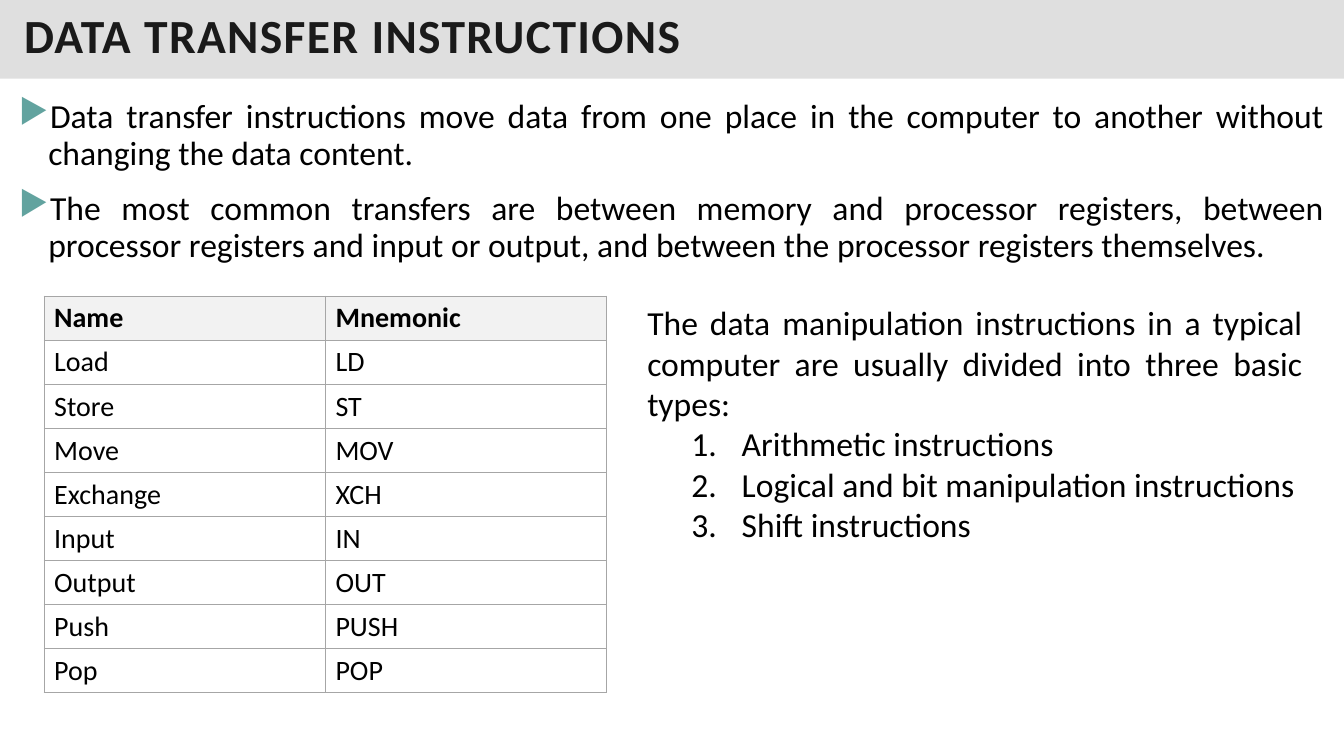
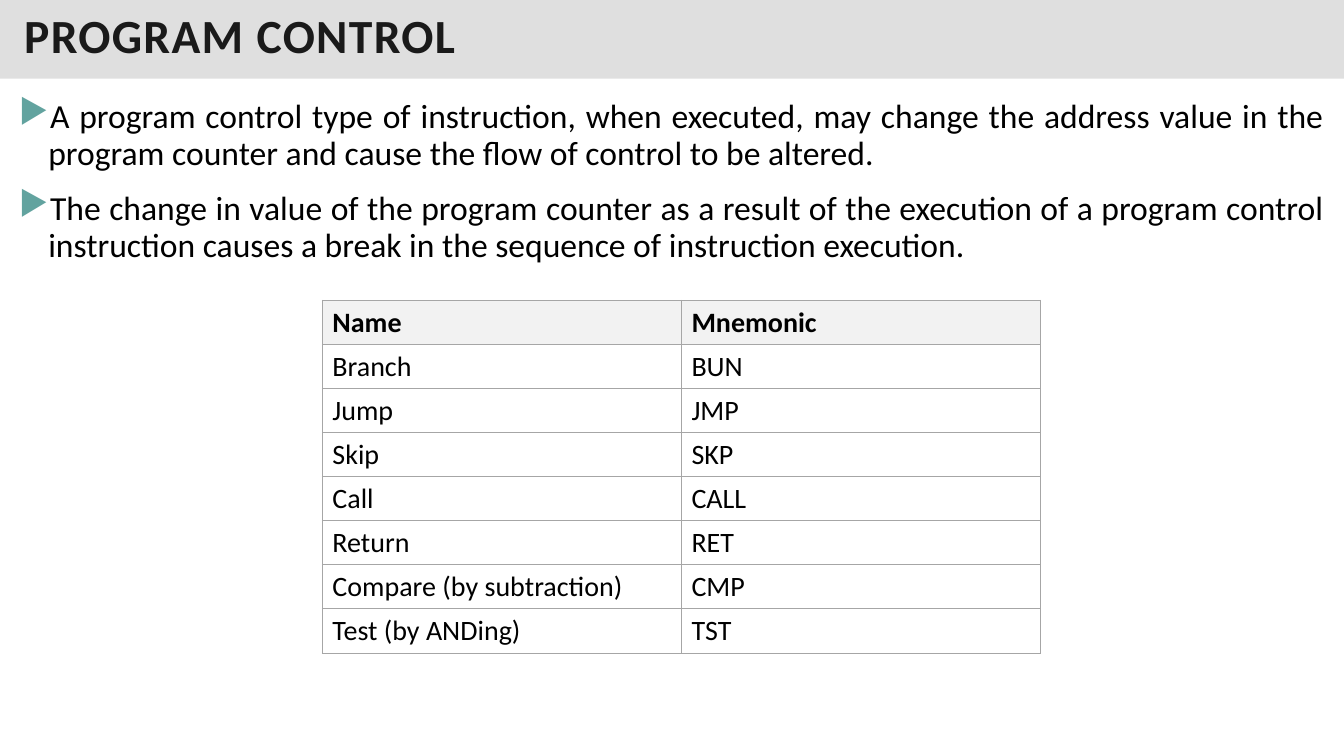
from dataclasses import dataclass

from lxml.etree import SubElement
from pptx import Presentation
from pptx.dml.color import RGBColor
from pptx.enum.shapes import MSO_SHAPE
from pptx.enum.text import MSO_ANCHOR, MSO_AUTO_SIZE, PP_ALIGN
from pptx.oxml.ns import qn
from pptx.util import Pt

EMU_PER_PX = 9525
PAGE_WIDTH, PAGE_HEIGHT = 1280, 720
BAND_HEIGHT = 75
BODY_AREA = (13, 90, 1253, 192)
ROW_HEIGHT = 42


@dataclass(frozen=True)
class Theme:
    font: str = "Calibri"
    band: str = "C0C0C0"
    band_alpha: int = 50
    title: str = "1A1A1A"
    text: str = "000000"
    bullet: str = "62A39F"
    header: str = "F2F2F2"
    border: str = "A6A6A6"
    title_size: int = 34
    text_size: int = 24
    table_size: int = 20
    border_width: float = 0.75


THEME = Theme()

TRANSFER_POINTS = [
    "Data transfer instructions move data from one place in the computer to another "
    "without changing the data content.",
    "The most common transfers are between memory and processor registers, between "
    "processor registers and input or output, and between the processor registers themselves.",
]
TRANSFER_ROWS = [
    ("Name", "Mnemonic"),
    ("Load", "LD"),
    ("Store", "ST"),
    ("Move", "MOV"),
    ("Exchange", "XCH"),
    ("Input", "IN"),
    ("Output", "OUT"),
    ("Push", "PUSH"),
    ("Pop", "POP"),
]
MANIPULATION_INTRO = (
    "The data manipulation instructions in a typical computer are usually divided "
    "into three basic types:"
)
MANIPULATION_TYPES = [
    "Arithmetic instructions",
    "Logical and bit manipulation instructions",
    "Shift instructions",
]
CONTROL_POINTS = [
    "A program control type of instruction, when executed, may change the address value "
    "in the program counter and cause the flow of control to be altered.",
    "The change in value of the program counter as a result of the execution of a program "
    "control instruction causes a break in the sequence of instruction execution.",
]
CONTROL_ROWS = [
    ("Name", "Mnemonic"),
    ("Branch", "BUN"),
    ("Jump", "JMP"),
    ("Skip", "SKP"),
    ("Call", "CALL"),
    ("Return", "RET"),
    ("Compare (by subtraction)", "CMP"),
    ("Test (by ANDing)", "TST"),
]


def px(length):
    return length * EMU_PER_PX


def apply(target, values):
    for name, value in values.items():
        setattr(target, name, value)


def add_child(parent, tag, **attributes):
    return SubElement(parent, qn(tag), {key: str(value) for key, value in attributes.items()})


def write(para, text, size, color=THEME.text, bold=False):
    span = para.add_run()
    span.text = text
    apply(span.font, {"name": THEME.font, "size": Pt(size), "bold": bold})
    span.font.color.rgb = RGBColor.from_string(color)
    return span


def set_frame(frame, inset_x, inset_y, **values):
    margins = {
        "margin_left": px(inset_x),
        "margin_right": px(inset_x),
        "margin_top": px(inset_y),
        "margin_bottom": px(inset_y),
    }
    apply(frame, {"word_wrap": True, **margins, **values})


def next_para(frame, index):
    return frame.add_paragraph() if index else frame.paragraphs[0]


def hang(para, left, hanging):
    properties = para._p.get_or_add_pPr()
    properties.set("marL", str(px(left)))
    properties.set("indent", str(-px(hanging)))
    return properties


def add_text_box(page, area):
    return page.shapes.add_textbox(*map(px, area)).text_frame


def add_title(page, text):
    band = page.shapes.add_shape(MSO_SHAPE.RECTANGLE, 0, 0, px(PAGE_WIDTH), px(BAND_HEIGHT))
    band.shadow.inherit = False
    band.line.fill.background()
    band.fill.solid()
    band.fill.fore_color.rgb = RGBColor.from_string(THEME.band)
    color = band.fill._xPr.find(qn("a:solidFill"))[0]
    add_child(color, "a:alpha", val=THEME.band_alpha * 1000)
    set_frame(band.text_frame, 23, 12, vertical_anchor=MSO_ANCHOR.MIDDLE)
    para = band.text_frame.paragraphs[0]
    apply(para, {"alignment": PP_ALIGN.LEFT, "line_spacing": 0.8})
    span = write(para, text, THEME.title_size, THEME.title, True)
    span.font._element.set("spc", "100")


def add_points(page, points):
    frame = add_text_box(page, BODY_AREA)
    set_frame(frame, 5, 5)
    for index, point in enumerate(points):
        para = next_para(frame, index)
        properties = hang(para, 28, 28)
        add_child(add_child(properties, "a:buClr"), "a:srgbClr", val=THEME.bullet)
        add_child(properties, "a:buChar", char="▶")
        apply(para, {
            "alignment": PP_ALIGN.JUSTIFY,
            "line_spacing": 0.9,
            "space_before": Pt(12 if index else 0),
            "space_after": Pt(2),
        })
        write(para, point, THEME.text_size)


def add_numbered_text(page, area, intro, items):
    frame = add_text_box(page, area)
    apply(frame, {"word_wrap": True, "auto_size": MSO_AUTO_SIZE.SHAPE_TO_FIT_TEXT})
    frame.paragraphs[0].alignment = PP_ALIGN.JUSTIFY
    write(frame.paragraphs[0], intro, THEME.text_size)
    for item in items:
        para = frame.add_paragraph()
        para.level = 1
        add_child(hang(para, 90, 48), "a:buAutoNum", type="arabicPeriod")
        write(para, item, THEME.text_size)


def add_borders(cell):
    properties = cell._tc.get_or_add_tcPr()
    for side in ("a:lnL", "a:lnR", "a:lnT", "a:lnB"):
        line = add_child(properties, side, w=int(Pt(THEME.border_width)))
        add_child(add_child(line, "a:solidFill"), "a:srgbClr", val=THEME.border)


def style_cell(cell, text, is_header):
    add_borders(cell)
    if is_header:
        cell.fill.solid()
        cell.fill.fore_color.rgb = RGBColor.from_string(THEME.header)
    else:
        cell.fill.background()
    write(cell.text_frame.paragraphs[0], text, THEME.table_size, bold=is_header)


def add_mnemonic_table(page, left, top, column_width, rows):
    columns = len(rows[0])
    size = (column_width * columns, ROW_HEIGHT * len(rows))
    table = page.shapes.add_table(len(rows), columns, *map(px, (left, top, *size))).table
    table.horz_banding = False
    for row, texts in enumerate(rows):
        for column, text in enumerate(texts):
            style_cell(table.cell(row, column), text, row == 0)


def add_page(deck, title, points):
    page = deck.slides.add_slide(deck.slide_layouts[6])
    add_title(page, title)
    add_points(page, points)
    return page


def main():
    deck = Presentation()
    apply(deck, {"slide_width": px(PAGE_WIDTH), "slide_height": px(PAGE_HEIGHT)})

    transfer = add_page(deck, "DATA TRANSFER INSTRUCTIONS", TRANSFER_POINTS)
    add_mnemonic_table(transfer, 42, 282, 268, TRANSFER_ROWS)
    add_numbered_text(transfer, (607, 283, 643, 242), MANIPULATION_INTRO, MANIPULATION_TYPES)

    control = add_page(deck, "PROGRAM CONTROL", CONTROL_POINTS)
    add_mnemonic_table(control, 307, 286, 342, CONTROL_ROWS)

    deck.save("out.pptx")


if __name__ == "__main__":
    main()
